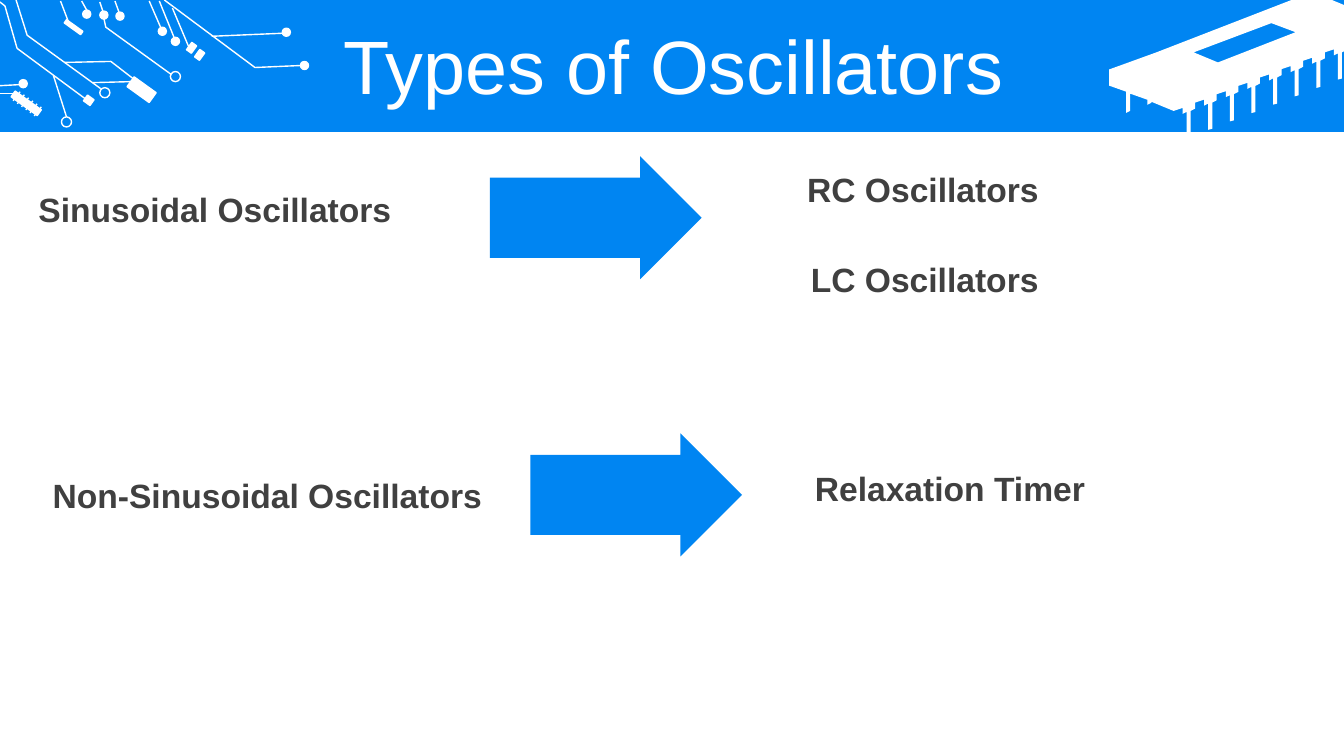
from pptx import Presentation
from pptx.dml.color import RGBColor
from pptx.enum.shapes import MSO_CONNECTOR, MSO_SHAPE
from pptx.enum.text import MSO_ANCHOR, PP_ALIGN
from pptx.oxml.ns import qn
from pptx.util import Inches, Pt

RECT, OVAL, ARROW = MSO_SHAPE.RECTANGLE, MSO_SHAPE.OVAL, MSO_SHAPE.RIGHT_ARROW
STRAIGHT = MSO_CONNECTOR.STRAIGHT
MIDDLE = MSO_ANCHOR.MIDDLE
CENTER, RIGHT = PP_ALIGN.CENTER, PP_ALIGN.RIGHT

COLORS = {"blue": "0085F2", "white": "FFFFFF", "dark": "404040"}
FONT = "Arial"
TILT = 35.7
TITLE = "Types of Oscillators"
LABELS = [
    ("LC Oscillators", 6.67, 2.52, 3.73),
    ("RC Oscillators", 6.67, 1.63, 3.73),
    ("Sinusoidal Oscillators", 0.25, 1.83, 3.73),
    ("Non-Sinusoidal Oscillators", 0.35, 4.66, 4.53),
    ("Relaxation Timer", 7.13, 4.59, 3.73),
]
ARROWS = [(4.86, 1.55), (5.26, 4.3)]

BLOCKS = [
    (1.27, 0.83, 0.27, 0.12), (0.63, 0.25, 0.2, 0.04),
    (0.84, 0.96, 0.08, 0.07), (1.87, 0.43, 0.06, 0.09),
    (1.95, 0.5, 0.06, 0.09), (0.1, 0.99, 0.32, 0.07),
]
DOTS = [(2.98, 0.61), (2.8, 0.28), (0.82, 0.1), (0.99, 0.11),
        (1.15, 0.12), (0.19, 0.79), (1.7, 0.37), (1.57, 0.27)]
RINGS = [(1.69, 0.71), (0.99, 0.87), (0.61, 1.16)]
WIRES = [
    (0.6, 0.01, 0.68, 0.22), (0.81, 0.01, 0.86, 0.1),
    (0.99, 0.02, 1.02, 0.11), (1.14, 0.01, 1.18, 0.12),
    (1.48, 0.01, 1.61, 0.31), (1.58, 0.01, 1.73, 0.38),
    (2.1, 0.36, 2.8, 0.33), (1.71, 0.08, 1.87, 0.46),
    (0, 0.85, 0.19, 0.84), (0, 0.93, 0.14, 0.93),
    (0.53, 0.75, 0.66, 1.16), (0.92, 0.82, 1.3, 0.81),
]
TRACES = [
    [(1.63, 0), (2.53, 0.67), (2.99, 0.65)],
    [(0.16, 0), (0.27, 0.35), (1, 0.88)],
    [(0, 0.02), (0.05, 0.06), (0.17, 0.48), (0.86, 0.99)],
    [(0.64, 0.62), (1.1, 0.61), (1.32, 0.78)],
    [(1.03, 0.18), (1.05, 0.27), (1.7, 0.74)],
]
WINDOW = [(12.61, 0.23), (11.84, 0.52), (12.08, 0.62), (12.85, 0.32)]
TOP = [(12.81, 0), (13.21, 0), (13.33, 0.05), (13.33, 0.51)]
PIN = [(0, 0), (0, 0.26), (-0.04, 0.27), (-0.04, 0.01),
       (-0.08, 0.03), (-0.08, -0.03), (-0.17, 0), (-0.17, 0.06)]
LEFT = [(11.42, 1.01), (11.42, 1.02), (11.38, 1.04), (11.38, 0.99),
        (11.21, 0.93), (11.21, 1.1), (11.17, 1.12), (11.17, 0.91),
        (11, 0.85), (11, 0.69), (11.47, 0.52)]


def color(name):
    return RGBColor.from_string(COLORS[name])


def paint(shape, fill=None, line=None):
    shape.shadow.inherit = False
    if fill:
        shape.fill.solid()
        shape.fill.fore_color.rgb = color(fill)
    else:
        shape.fill.background()
    if line:
        shape.line.color.rgb = color(line)
        shape.line.width = Pt(1)
    else:
        shape.line.fill.background()


def add_part(kind, box, fill=None, line=None, turn=0):
    shape = shapes.add_shape(kind, *map(Inches, box))
    shape.rotation = turn
    paint(shape, fill, line)
    return shape


def add_path(loops, close, fill=None, line=None):
    loops = [[(Inches(x), Inches(y)) for x, y in loop] for loop in loops]
    pen = shapes.build_freeform(*loops[0][0])
    pen.add_line_segments(loops[0][1:], close=close)
    for loop in loops[1:]:
        pen.move_to(*loop[0])
        pen.add_line_segments(loop[1:], close=close)
    paint(pen.convert_to_shape(), fill, line)


def add_wire(ends):
    wire = shapes.add_connector(STRAIGHT, *map(Inches, ends))
    wire.line.color.rgb = color("white")
    wire.line.width = Pt(1)
    props = wire.element.spPr
    props.append(props.makeelement(qn("a:effectLst"), {}))


def write(shape, text, size, tint, align, bold=False):
    para = shape.text_frame.paragraphs[0]
    para.alignment = align
    run = para.add_run()
    run.text = text
    run.font.name = FONT
    run.font.size = Pt(size)
    run.font.bold = bold
    run.font.color.rgb = color(tint)
    return para


deck = Presentation()
deck.slide_width, deck.slide_height = Inches(13.33), Inches(7.5)
slide = deck.slides.add_slide(deck.slide_layouts[5])
shapes = slide.shapes

add_part(RECT, (0, 0, 13.33, 1.31), "blue")
pins = [(13.31 - 0.2143 * n + x, 0.52 + 0.083 * n + y)
        for n in range(8) for x, y in PIN]
add_path([TOP + pins[:-1] + LEFT, WINDOW], True, "white")

for box in BLOCKS:
    add_part(RECT, box, "white", "white", TILT)
for x, y in DOTS:
    add_part(OVAL, (x, y, 0.08, 0.08), "white", "white")
for x, y in RINGS:
    add_part(OVAL, (x, y, 0.1, 0.1), line="white")
for trace in TRACES:
    add_path([trace], False, line="white")
teeth = [(0.13 + 0.042 * n, 1 + 0.03 * n, 0.2 + 0.042 * n, 0.91 + 0.03 * n)
         for n in range(6)]
for ends in WIRES + teeth:
    add_wire(ends)

title = shapes.title
title.element.getparent().append(title.element)
title.left, title.top = Inches(0.35), Inches(0.3)
title.width, title.height = Inches(12.66), Inches(0.79)
title.text_frame.vertical_anchor = MIDDLE
head = write(title, TITLE, 54, "white", CENTER)
head.line_spacing = 0.9

for text, x, y, width in LABELS:
    label = shapes.add_textbox(*map(Inches, (x, y, width, 0.5)))
    label.text_frame.word_wrap = True
    write(label, text, 24, "dark", RIGHT, True)
for x, y in ARROWS:
    arrow = add_part(ARROW, (x, y, 2.1, 1.22), "blue")
    arrow.adjustments[0] = 0.651
    arrow.adjustments[1] = 0.5

deck.save("out.pptx")
